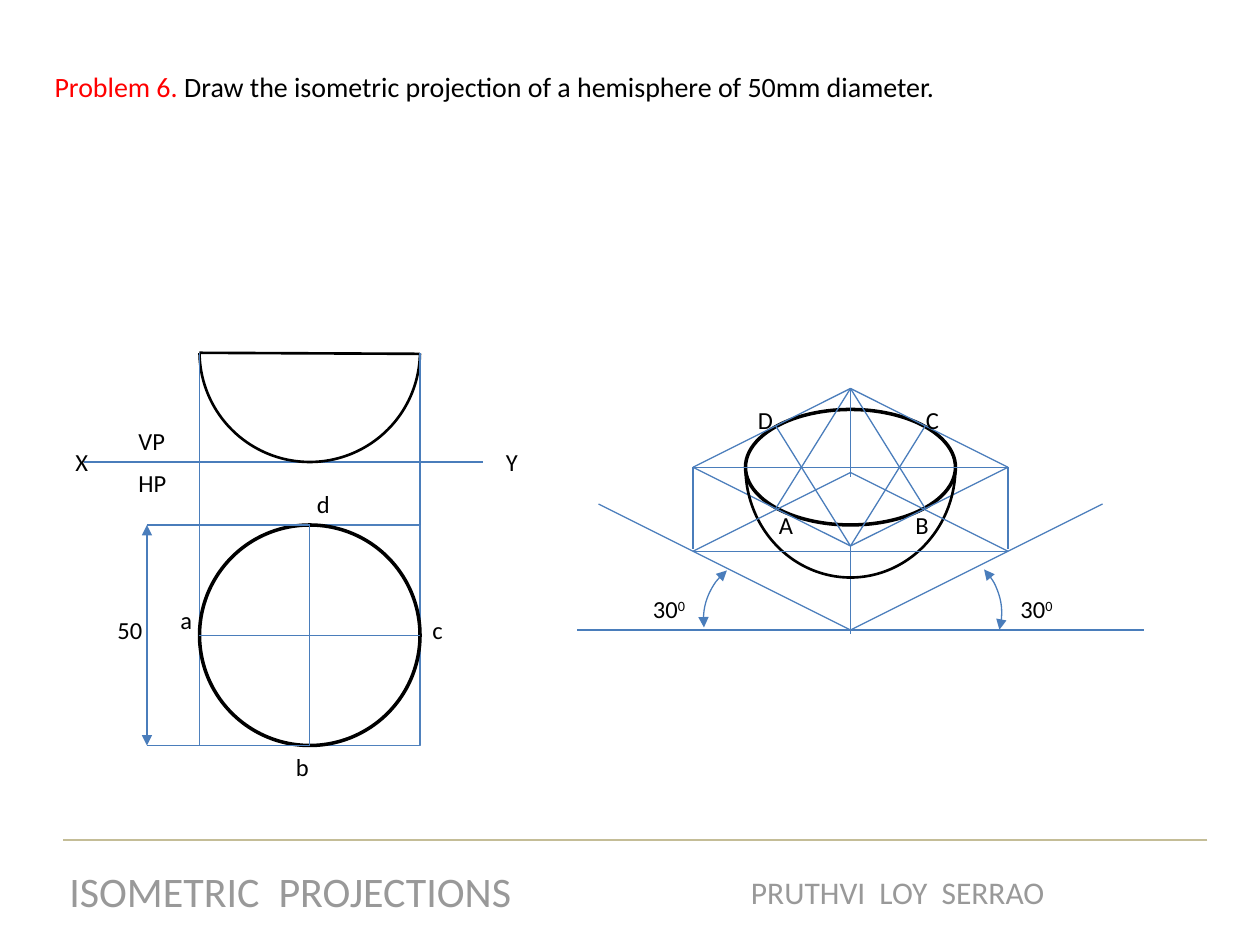
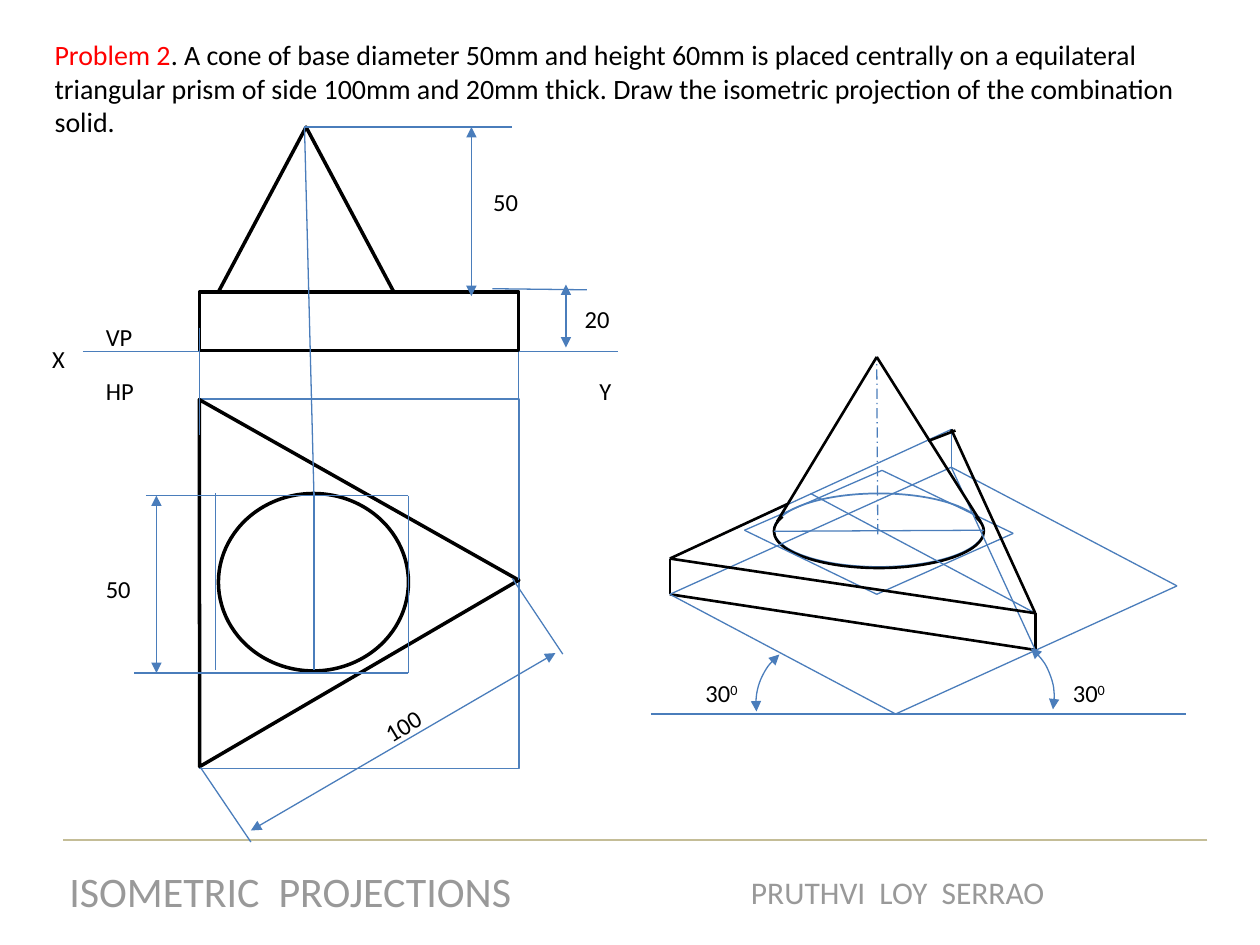
import itertools
from dataclasses import dataclass
from typing import Any

import pptx
import pptx.util
import pptx.dml.color
import pptx.enum.dml
import pptx.enum.shapes
import pptx.enum.text
import pptx.oxml.ns
from lxml import etree

COLORS = {
    "ink": "000000",
    "guide": "4A7DBB",
    "frame": "4F81BD",
    "paper": "FFFFFF",
    "accent": "FF0000",
    "rule": "C4BD97",
    "footer": "999999",
}
FONT = "Calibri"
COLS, ROWS = 120, 90
CELL = pptx.util.Inches(10) / COLS
SHAPE = pptx.enum.shapes.MSO_SHAPE
ALIGN = pptx.enum.text.PP_ALIGN
THIN, BOLD, HEAVY = 0.75, 1.5, 2


def rgb(name):
    return pptx.dml.color.RGBColor.from_string(COLORS[name])


def cells(n):
    return pptx.util.Emu(round(n * CELL))


def write(p, text, size=14, color="ink", raised=False):
    r = p.add_run()
    r.text = text
    r.font.name = FONT
    r.font.size = pptx.util.Pt(size)
    r.font.color.rgb = rgb(color)
    if raised:
        r._r.get_or_add_rPr().set("baseline", "30000")


def style_line(sp, color, width, arrows=False):
    sp.line.color.rgb = rgb(color)
    sp.line.width = pptx.util.Pt(width)
    if arrows:
        ln = sp.line._get_or_add_ln()
        for end in ("a:headEnd", "a:tailEnd"):
            etree.SubElement(ln, pptx.oxml.ns.qn(end), type="triangle")


@dataclass
class Box:
    s: Any
    left: float
    top: float
    cols: float
    rows: float

    def inner(self, x, y, cols, rows):
        return Box(self.s, self.left + x, self.top + y, cols, rows)

    def point(self, x, y):
        return cells(self.left + x), cells(self.top + y)

    def line(self, start, end, color="guide", width=THIN, arrows=False, dash=None):
        cn = self.s.shapes.add_connector(
            pptx.enum.shapes.MSO_CONNECTOR.STRAIGHT, *self.point(*start), *self.point(*end))
        style_line(cn, color, width, arrows)
        if dash:
            cn.line.dash_style = dash
        etree.SubElement(cn._element.spPr, pptx.oxml.ns.qn("a:effectLst"))

    def lines(self, pairs, **fmt):
        for start, end in pairs:
            self.line(start, end, **fmt)

    def loop(self, *corners):
        self.lines(itertools.pairwise(corners + corners[:1]))

    def shape(self, kind, x, y, w, h, color="ink", width=HEAVY, rot=0):
        sp = self.s.shapes.add_shape(kind, *self.point(x, y), cells(w), cells(h))
        sp.shadow.inherit = False
        sp.fill.solid()
        sp.fill.fore_color.rgb = rgb("paper")
        style_line(sp, color, width)
        sp.rotation = rot
        return sp

    def arc(self, x, y, w, h, sweep, color="ink", width=BOLD, rot=0, arrows=False):
        sp = self.shape(SHAPE.ARC, x, y, w, h, color, width, rot)
        sp.fill.background()
        sp.adjustments[0], sp.adjustments[1] = sweep
        style_line(sp, color, width, arrows)

    def label(self, text, x, y, raised="", rot=0):
        width = 2.4 + 1.2 * len(text + raised)
        tb = self.s.shapes.add_textbox(*self.point(x, y), cells(width), cells(4))
        tb.rotation = rot
        tf = tb.text_frame
        tf.word_wrap = True
        tf.margin_right = 0
        write(tf.paragraphs[0], text)
        if raised:
            write(tf.paragraphs[0], raised, raised=True)

    def labels(self, *items):
        for item in items:
            self.label(*item)


def title(box, number, statement):
    sp = box.s.shapes.title
    sp.left, sp.top = box.point(0, 0)
    sp.width, sp.height = cells(box.cols), cells(box.rows)
    tf = sp.text_frame
    tf.word_wrap = True
    tf.auto_size = pptx.enum.text.MSO_AUTO_SIZE.NONE
    tf.vertical_anchor = pptx.enum.text.MSO_ANCHOR.TOP
    p = tf.paragraphs[0]
    p.alignment = ALIGN.LEFT
    write(p, number, size=16, color="accent")
    write(p, statement, size=16)


def footer(box):
    box.line((box.cols, 0), (0, 0), color="rule")
    for text, x, y, w, h, size in (
        ("ISOMETRIC  PROJECTIONS", -0.8, 1.8, 44.9, 6, 24),
        ("PRUTHVI  LOY  SERRAO", 64.2, 2.6, 30.6, 4.8, 18),
    ):
        tb = box.s.shapes.add_textbox(*box.point(x, y), cells(w), cells(h))
        tb.text_frame.word_wrap = False
        p = tb.text_frame.paragraphs[0]
        p.alignment = ALIGN.CENTER
        write(p, text, size=size, color="footer")


def ground_angles(box, start, end, right_sweep):
    box.line((start, 24), (end, 24))
    box.arc(28.4, 16.4, 12, 12, right_sweep, "guide", THIN, rot=39, arrows=True)
    box.arc(12, 17, 12, 12, (157.67, 192.65), "guide", THIN, rot=270, arrows=True)
    for x in (6, 41):
        box.label("30", x, 20, raised="0")


def hemisphere_views(box):
    size, left, top, rim, ground, dim = 21, 13, 17, 0.6, 11, 8
    right, bottom = left + size, top + size
    mid_x, mid_y = left + size / 2, top + size / 2
    box.shape(SHAPE.RECTANGLE, left, top, size, size, "frame", 1)
    box.line((2, ground), (40, ground))
    box.shape(SHAPE.OVAL, left, top, size, size)
    for y in (top, bottom):
        box.line((mid_x, y), (dim, y))
    box.line((dim, top), (dim, bottom), arrows=True)
    box.line((left, mid_y), (right, mid_y))
    box.line((mid_x, bottom), (mid_x, top))
    box.arc(left, ground - size, size, size, (0.6, 107.57))
    box.line((left, rim), (right, rim + 0.1), "ink", BOLD)
    for x in (left, right):
        box.line((x, rim), (x, top))
    box.labels(("X", 0, 9), ("Y", 41, 9), ("VP", 6, 7), ("HP", 6, 11), ("50", 4, 25),
               ("a", 10, 24), ("b", 21, 38), ("d", 23, 13), ("c", 34, 25))


def hemisphere_isometric(box):
    mid, west, east = 26, 11, 41
    back, side, front, base = 1, 8.5, 16, 24
    box.line((mid, base), (50, 12))
    box.shape(SHAPE.OVAL, 16, 3, 20, 11)
    box.line((mid, base), (2, 12))
    ground_angles(box, 0, box.cols, (166.31, 201.8))
    box.loop((mid, back), (east, side), (mid, front), (west, side))
    box.line((west, side), (east, side))
    for x, y, drop in ((west, side, 7.8), (east, side, 7.8), (mid, front, 8.4), (mid, back, 8.4)):
        box.line((x, y), (x, y + drop))
    box.arc(16, -2, 20, 21, (0.84, 107.57))
    for x in (mid - 7.1, mid + 7.1):
        box.line((mid, front), (x, 4.6))
        box.line((mid, back), (x, 12.4))
    box.loop((west, 16.5), (mid, 9), (east, 16.5))
    box.labels(("A", 18, 12), ("B", 31, 12), ("D", 16, 2), ("C", 32, 2))


def cone_views(box):
    left, right, ground, apex = 16, 46.4, 21.5, (26, 0.1)
    circle_top, circle_bottom = 35.2, 52.1
    box.shape(SHAPE.RECTANGLE, left, 26, right - left, 35.2, "frame", 1)
    box.shape(SHAPE.ISOSCELES_TRIANGLE, 6, 24, 35.2, 30.2, rot=329.7)
    box.shape(SHAPE.ISOSCELES_TRIANGLE, 17.8, 0.1, 16.7, 15.7)
    box.line((4.9, ground), (55.9, ground))
    box.shape(SHAPE.OVAL, 17.8, 35, 18.1, 16.9)
    box.shape(SHAPE.RECTANGLE, left, 15.8, right - left, 5.6)
    box.lines((
        ((left, 19.2), (left, 29.4)),
        ((right, ground), (right, 43.2)),
        ((26.9, 35), (26.9, 51.8)),
        ((26.9, 35), apex),
        ((10.9, circle_top), (35.9, circle_top)),
        ((35.9, circle_top), (35.9, circle_bottom)),
        ((35.9, circle_bottom), (9.8, circle_bottom)),
        ((17.5, 35), (17.5, 51.8)),
        ((16.1, 61.1), (20.9, 68.2)),
        ((45.8, 43.1), (50.6, 50.3)),
        ((43.9, 15.5), (52.9, 15.6)),
        (apex, (45.8, 0.1)),
    ))
    box.lines((
        ((20.9, 67.1), (49.9, 50.2)),
        ((50.9, 15.1), (50.9, 21.1)),
        ((41.9, 0.1), (41.9, 16.2)),
        ((11.9, circle_top), (11.9, circle_bottom)),
    ), arrows=True)
    box.label("100", 32.4, 55.1, rot=328.7)
    box.labels(("X", 0.8, 20.2), ("Y", 52.9, 23.2), ("VP", 5.9, 18.1), ("HP", 5.9, 23.2),
               ("20", 51.5, 16.4), ("50", 42.8, 5.2), ("50", 5.9, 42.1))


def cone_isometric(box):
    west_top, west = (3.8, 19.2), (3.8, 22.6)
    east_top, east = (38.6, 24.4), (38.6, 27.9)
    north_top, north = (30.6, 6.9), (30.6, 10.5)
    south, far = (25.3, 34), (52.1, 21.8)
    apex = (23.5, 0)
    edges = ((west_top, west), (west, east), (east_top, east))
    box.lines(edges)
    box.shape(SHAPE.OVAL, 13.7, 13, 20, 7, "frame", 1)
    box.lines(edges, color="ink", width=BOLD)
    box.arc(20.2, 6.6, 7, 20, (156.89, 59.18), rot=90)
    box.loop(west, south, far, north)
    box.loop((10.9, 16.5), (24, 10.8), (36.5, 16.8), (23.5, 22.6))
    box.lines((
        ((13.7, 16.6), (33.7, 16.5)),
        (north_top, north),
        (west_top, north_top),
        (north, east),
        (east_top, (17.2, 13)),
    ))
    box.line((23.6, 16.9), apex, dash=pptx.enum.dml.MSO_LINE.LONG_DASH_DOT)
    box.lines((
        (west_top, east_top),
        (north_top, east_top),
        (apex, (14, 15.7)),
        (apex, (33.4, 15.7)),
        ((15, 14), west_top),
        ((28.4, 8), (31, 7)),
    ), color="ink", width=BOLD)
    ground_angles(box.inner(0, 10, box.cols, 26), 2, 53, (161.99, 199.34))


def add_slide(prs):
    s = prs.slides.add_slide(prs.slide_layouts[5])
    page = Box(s, 0, 0, COLS, ROWS)
    footer(page.inner(6, 80, 109, 8))
    return page


def main():
    prs = pptx.Presentation()
    prs.slide_width, prs.slide_height = cells(COLS), cells(ROWS)

    page = add_slide(prs)
    title(page.inner(4, 6, 113, 4.4), "Problem 6. ",
          "Draw the isometric projection of a hemisphere of 50mm diameter.")
    hemisphere_views(page.inner(6, 33, 46, 44))
    hemisphere_isometric(page.inner(55, 36, 54, 26))

    page = add_slide(prs)
    title(page.inner(4, 3, 111, 10.9), "Problem 2",
          ". A cone of base diameter 50mm and height 60mm is placed centrally on a equilateral "
          "triangular prism of side 100mm and 20mm thick. Draw the isometric projection of the "
          "combination solid.")
    cone_views(page.inner(3, 12, 57, 69))
    cone_isometric(page.inner(60, 34, 54, 36))

    prs.save("out.pptx")


if __name__ == "__main__":
    main()
